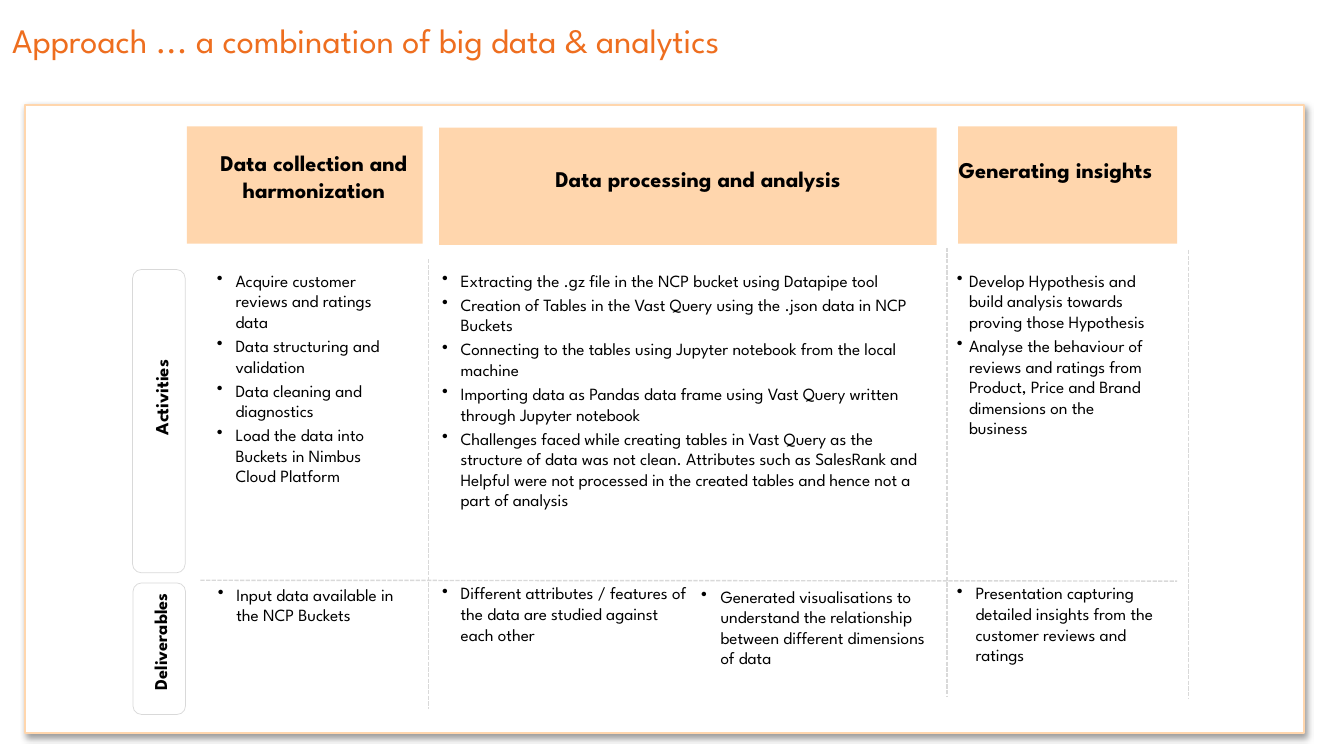
from pptx import Presentation
from pptx.dml.color import RGBColor
from pptx.enum.dml import MSO_LINE
from pptx.enum.shapes import MSO_CONNECTOR, MSO_SHAPE
from pptx.enum.text import MSO_ANCHOR, MSO_AUTO_SIZE, PP_ALIGN
from pptx.oxml.xmlchemy import OxmlElement
from pptx.util import Cm, Pt

COLOURS = {"panel": "FFFFFF", "peach": "FFD6AD", "grid": "D9D9D9",
           "title": "EE6E1F", "text": "000000", "shadow": "000000"}
FONT = "League Spartan"

HEADERS = [
    ("Data collection and harmonization", (4.62, 3.12, 5.82, 2.9), (4.95, 3.56, 5.61, 1.04)),
    ("Data processing and analysis", (10.85, 3.15, 12.29, 2.9), (12.98, 3.96, 8.53, 1.19)),
    ("Generating insights", (23.67, 3.12, 5.41, 2.9), (23.27, 3.73, 5.61, 1.04)),
]

ROWS = [
    ("Activities", 13, (0.18, 9.75, 7.49, 1.3), (0.56, 9.17, 6.83, 1.3)),
    ("Deliverables", 12.7, (2.31, 15.37, 3.25, 1.3), (2.31, 15.24, 3.28, 1.22)),
]

DIVIDERS = [
    (10.59, 6.4, 10.59, 17.5),
    (23.39, 6.12, 23.39, 17.22),
    (29.36, 6.17, 29.36, 17.27),
    (4.95, 14.33, 29.08, 14.35),
]

ACTIVITIES = [
    ((5.11, 6.55, 4.7, 8.18), 0.46, 0.46, [
        "Acquire customer reviews and ratings data",
        "Data structuring and validation",
        "Data cleaning and diagnostics",
        "Load the data into Buckets in Nimbus Cloud Platform"]),
    ((10.67, 6.55, 12.47, 7.65), 0.46, 0.46, [
        "Extracting the .gz file in the NCP bucket using Datapipe tool",
        "Creation of Tables in the Vast Query using the .json data in NCP Buckets",
        "Connecting to the tables using Jupyter notebook from the local machine",
        "Importing data as Pandas data frame using Vast Query written through Jupyter notebook",
        "Challenges faced while creating tables in Vast Query as the structure of data "
        "was not clean. Attributes such as SalesRank and Helpful were not processed in "
        "the created tables and hence not a part of analysis"]),
    ((23.39, 6.55, 5.23, 5.97), 0.3, 0.3, [
        "Develop Hypothesis and build analysis towards proving those Hypothesis",
        "Analyse the behaviour of reviews and ratings from Product, Price and Brand "
        "dimensions on the business"]),
]

DELIVERABLES = [
    ((5.13, 14.3, 5, 2.24), 0.46, 0.46, ["Input data available in the NCP Buckets"]),
    ((10.67, 14.27, 6.63, 2.92), 0.46, 0.46, [
        "Different attributes / features of the data are studied against each other"]),
    ((16.76, 14.35, 6.58, 2.34), 0.79, 0.48, [
        "Generated visualisations to understand the relationship between different "
        "dimensions of data"]),
    ((22.91, 14.27, 6.35, 3.23), 0.94, 0.46, [
        "Presentation capturing detailed insights from the customer reviews and ratings"]),
]


def colour(key):
    return RGBColor.from_string(COLOURS[key])


def apply(target, formats):
    for attribute, value in formats.items():
        setattr(target, attribute, value)


def lengths(values):
    return [Cm(value) for value in values]


def write(paragraph, words, size, key="text", bold=False):
    run = paragraph.add_run()
    run.text = words
    apply(run.font, {"name": FONT, "size": Pt(size), "bold": bold})
    run.font.color.rgb = colour(key)


def add_box(slide, kind, place, fill=None, line=None, width=0.5, rotation=0):
    box = slide.shapes.add_shape(kind, *lengths(place))
    apply(box, {"rotation": rotation})
    box.shadow.inherit = False
    if fill:
        box.fill.solid()
        box.fill.fore_color.rgb = colour(fill)
    else:
        box.fill.background()
    if line:
        box.line.color.rgb = colour(line)
        box.line.width = Pt(width)
    else:
        box.line.fill.background()
    return box


def cast_shadow(box):
    shadow = OxmlElement("a:outerShdw")
    for attribute, value in {"blurRad": Pt(4), "dist": Pt(3), "dir": 45 * 60000,
                             "algn": "tl", "rotWithShape": 0}.items():
        shadow.set(attribute, str(value))
    tint = OxmlElement("a:srgbClr")
    tint.set("val", COLOURS["shadow"])
    alpha = OxmlElement("a:alpha")
    alpha.set("val", "40000")
    tint.append(alpha)
    shadow.append(tint)
    box._element.spPr.find(
        "{http://schemas.openxmlformats.org/drawingml/2006/main}effectLst").append(shadow)


def add_divider(slide, ends):
    divider = slide.shapes.add_connector(MSO_CONNECTOR.STRAIGHT, *lengths(ends))
    divider.line.color.rgb = colour("grid")
    apply(divider.line, {"width": Pt(1), "dash_style": MSO_LINE.SQUARE_DOT})
    divider._element.spPr.append(OxmlElement("a:effectLst"))


def add_label(slide, words, place, size, rotation=0, anchor=MSO_ANCHOR.TOP):
    label = slide.shapes.add_textbox(*lengths(place))
    apply(label, {"rotation": rotation})
    apply(label.text_frame, {"word_wrap": True, "vertical_anchor": anchor})
    paragraph = label.text_frame.paragraphs[0]
    paragraph.alignment = PP_ALIGN.CENTER
    write(paragraph, words, size, bold=True)


def add_bullets(slide, place, margin, hanging, items):
    frame = slide.shapes.add_textbox(*lengths(place)).text_frame
    frame.word_wrap = True
    for index, item in enumerate(items):
        paragraph = frame.add_paragraph() if index else frame.paragraphs[0]
        paragraph.space_before = Pt(2.4)
        properties = paragraph._p.get_or_add_pPr()
        properties.set("marL", str(Cm(margin)))
        properties.set("indent", str(-Cm(hanging)))
        bullet = OxmlElement("a:buChar")
        bullet.set("char", "•")
        properties.append(bullet)
        write(paragraph, item, 12)


def set_title(slide, words):
    title = slide.shapes.title
    left, top, width, height = lengths((0.3, 0.48, 26.16, 1.07))
    apply(title, {"left": left, "top": top, "width": width, "height": height})
    apply(title.text_frame, {
        "margin_left": 0, "margin_right": 0, "margin_top": 0, "margin_bottom": 0,
        "word_wrap": True, "auto_size": MSO_AUTO_SIZE.NONE,
        "vertical_anchor": MSO_ANCHOR.TOP})
    heading = title.text_frame.paragraphs[0]
    heading.alignment = PP_ALIGN.LEFT
    write(heading, words, 24, "title")


def main():
    deck = Presentation()
    apply(deck, {"slide_width": Cm(33.2), "slide_height": Cm(18.67)})
    slide = deck.slides.add_slide(deck.slide_layouts[5])
    set_title(slide, "Approach ... a combination of big data & analytics")
    panel = add_box(slide, MSO_SHAPE.RECTANGLE, (0.61, 2.59, 31.6, 15.52),
                    "panel", "peach", 1.5)
    cast_shadow(panel)
    for ends in DIVIDERS:
        add_divider(slide, ends)
    for words, block, place in HEADERS:
        add_box(slide, MSO_SHAPE.RECTANGLE, block, "peach")
        add_label(slide, words, place, 15.7)
    for words, size, block, place in ROWS:
        add_box(slide, MSO_SHAPE.ROUNDED_RECTANGLE, block, line="grid", rotation=270)
        add_label(slide, words, place, size, 270, MSO_ANCHOR.MIDDLE)
    for place, margin, hanging, items in ACTIVITIES + DELIVERABLES:
        add_bullets(slide, place, margin, hanging, items)
    deck.save("out.pptx")


if __name__ == "__main__":
    main()
